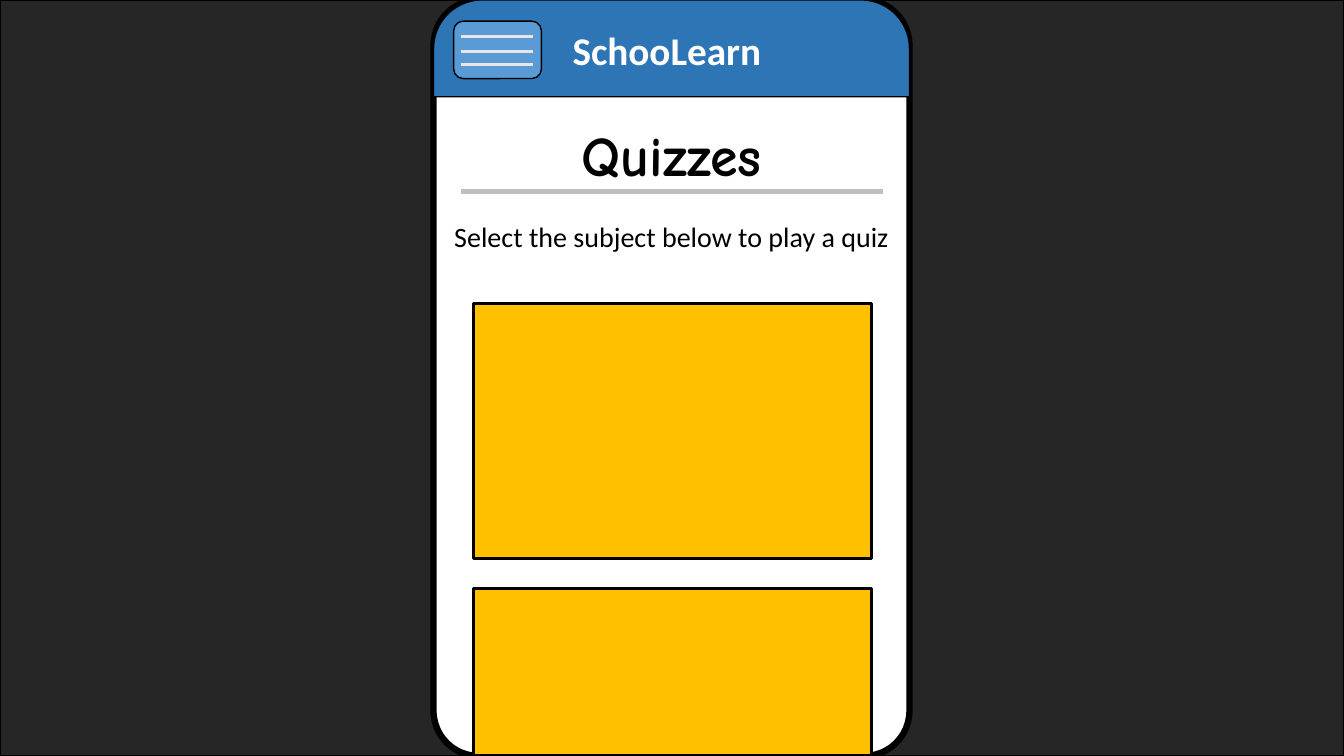
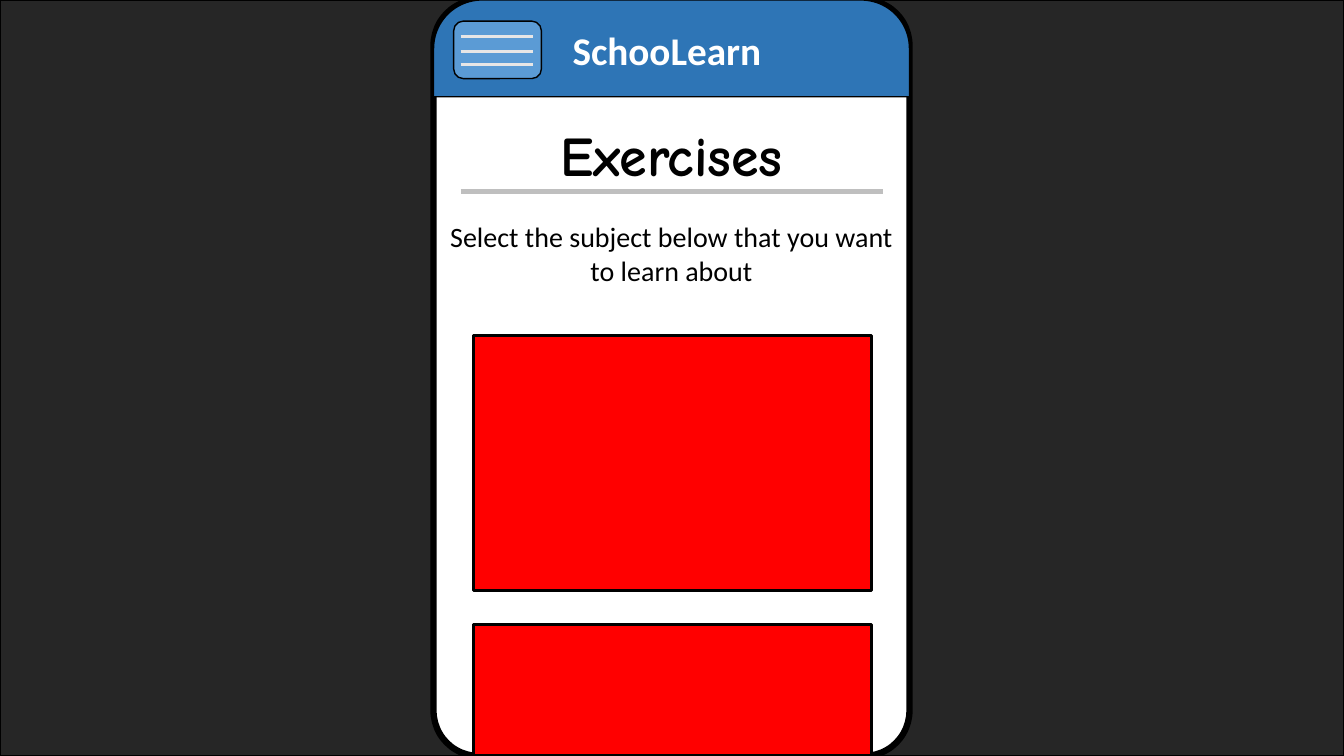
"""Build two phone-screen slides of a learning app: quizzes and exercises."""
from lxml.etree import SubElement
from pptx import Presentation
from pptx.dml.color import RGBColor
from pptx.enum.shapes import MSO_CONNECTOR as Connector, MSO_SHAPE as Shape
from pptx.enum.text import MSO_ANCHOR as Anchor, MSO_AUTO_SIZE as AutoSize, PP_ALIGN as Align
from pptx.oxml.ns import qn
from pptx.util import Pt

PX = 9144
WIDTH, HEIGHT = 1333, 750
PHONE_LEFT, PHONE_WIDTH = 430, 472
CARD_LEFT, CARD_WIDTH, CARD_HEIGHT = 470, 394, 253
COLORS = {
    "backdrop": "262626",
    "screen": "FFFFFF",
    "header": "2E75B6",
    "menu": "5B9BD5",
    "menu_bar": "E7E6E6",
    "rule": "BFBFBF",
    "ink": "000000",
    "quiz": "FFC000",
    "exercise": "FF0000",
}
SCREENS = [
    {"title": "Quizzes", "prompt": "Select the subject below to play a quiz",
     "prompt_height": 44, "card": "quiz", "card_tops": (301, 584)},
    {"title": "Exercises", "prompt": "Select the subject below that you want to learn about",
     "prompt_height": 77, "card": "exercise", "card_tops": (333, 620)},
]


def write(box, text, *, at, size, font="Calibri", color="ink", bold=False, align=Align.CENTER):
    box.left, box.top, box.width, box.height = (length * PX for length in at)
    frame = box.text_frame
    frame.word_wrap = True
    frame.auto_size = AutoSize.SHAPE_TO_FIT_TEXT
    frame.vertical_anchor = Anchor.TOP
    paragraph = frame.paragraphs[0]
    paragraph.alignment = align
    run = paragraph.add_run()
    run.text = text
    run.font.name = font
    run.font.size = Pt(size)
    run.font.bold = bold
    run.font.color.rgb = RGBColor.from_string(COLORS[color])


prs = Presentation()
prs.slide_width, prs.slide_height = WIDTH * PX, HEIGHT * PX
title_only = prs.slide_layouts[5]

for screen in SCREENS:
    slide = prs.slides.add_slide(title_only)
    shapes = slide.shapes

    panels = [
        (Shape.RECTANGLE, (0, 0, WIDTH, HEIGHT), "backdrop", 1, []),
        (Shape.ROUNDED_RECTANGLE, (PHONE_LEFT, 0, PHONE_WIDTH, HEIGHT), "screen", 4.5, [0.095]),
        (Shape.ROUND_2_SAME_RECTANGLE, (PHONE_LEFT, 0, PHONE_WIDTH, 96), "header", 1, [0.5, 0]),
        (Shape.ROUNDED_RECTANGLE, (450, 21, 87, 57), "menu", 1, []),
    ]
    for top in screen["card_tops"]:
        height = min(CARD_HEIGHT, HEIGHT - top)
        panels.append((Shape.RECTANGLE, (CARD_LEFT, top, CARD_WIDTH, height), screen["card"], 2.25, []))
    for outline, at, color, weight, corners in panels:
        panel = shapes.add_shape(outline, *(length * PX for length in at))
        panel.shadow.inherit = False
        panel.fill.solid()
        panel.fill.fore_color.rgb = RGBColor.from_string(COLORS[color])
        panel.line.color.rgb = RGBColor.from_string(COLORS["ink"])
        panel.line.width = Pt(weight)
        for index, corner in enumerate(corners):
            panel.adjustments[index] = corner

    strokes = [(457, 529, y, "menu_bar", 2.25) for y in (36, 51, 64)]
    strokes.append((457, 876, 190, "rule", 3))
    for left, right, y, color, weight in strokes:
        stroke = shapes.add_connector(Connector.STRAIGHT, left * PX, y * PX, right * PX, y * PX)
        stroke.line.color.rgb = RGBColor.from_string(COLORS[color])
        stroke.line.width = Pt(weight)
        SubElement(stroke.element.spPr, qn("a:effectLst"))

    title = shapes.title
    title.element.getparent().append(title.element)
    write(title, screen["title"], at=(PHONE_LEFT, 115, PHONE_WIDTH, 77),
          size=40, font="Comic Neue", bold=True)
    write(shapes.add_textbox(0, 0, 0, 0), "SchooLearn", at=(558, 21, 345, 57),
          size=28, color="screen", bold=True, align=Align.LEFT)
    write(shapes.add_textbox(0, 0, 0, 0), screen["prompt"],
          at=(PHONE_LEFT, 213, PHONE_WIDTH, screen["prompt_height"]), size=20)

prs.save("out.pptx")
